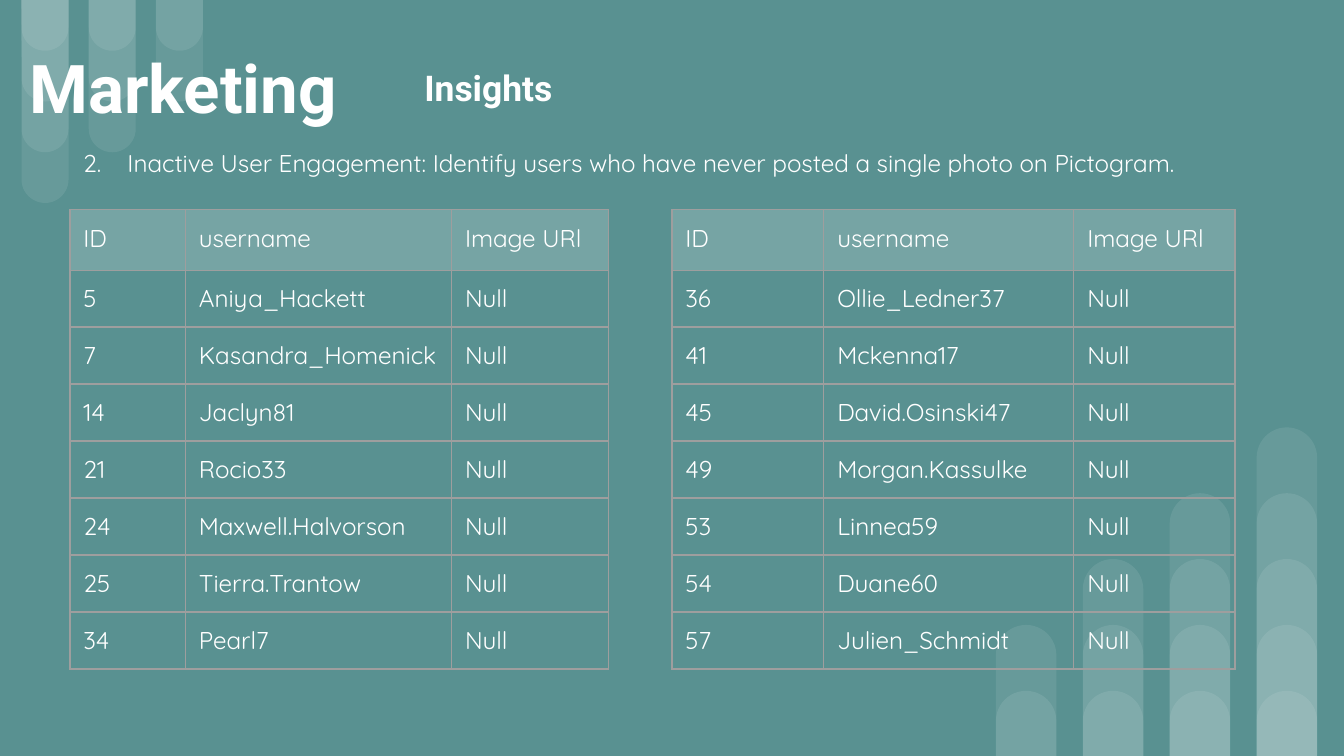
from lxml.etree import SubElement
from pptx import Presentation
from pptx.dml.color import RGBColor
from pptx.enum.shapes import MSO_SHAPE
from pptx.enum.text import MSO_ANCHOR
from pptx.oxml.ns import qn
from pptx.util import Inches, Pt

COLORS = {
    "background": "599191",
    "header": "76A4A4",
    "border": "9E9E9E",
    "white": "FFFFFF",
}
HEADINGS = ("ID", "username", "Image URl")
FIRST_USERS = (
    ("5", "Aniya_Hackett"),
    ("7", "Kasandra_Homenick"),
    ("14", "Jaclyn81"),
    ("21", "Rocio33"),
    ("24", "Maxwell.Halvorson"),
    ("25", "Tierra.Trantow"),
    ("34", "Pearl7"),
)
SECOND_USERS = (
    ("36", "Ollie_Ledner37"),
    ("41", "Mckenna17"),
    ("45", "David.Osinski47"),
    ("49", "Morgan.Kassulke"),
    ("53", "Linnea59"),
    ("54", "Duane60"),
    ("57", "Julien_Schmidt"),
)


def color(name):
    return RGBColor.from_string(COLORS[name])


def write_text(holder, text, size=13, font="Quicksand", bold=False):
    holder.margin_left = holder.margin_right = Inches(0.1)
    holder.margin_top = holder.margin_bottom = Inches(0.1)
    frame = getattr(holder, "text_frame", holder)
    frame.word_wrap = True
    paragraph = frame.paragraphs[0]
    run = paragraph.add_run()
    run.text = text
    run.font.size = Pt(size)
    run.font.name = font
    run.font.bold = bold
    run.font.color.rgb = color("white")
    return paragraph


def add_text_frame(slide, box):
    return slide.shapes.add_textbox(*map(Inches, box)).text_frame


def add_bars(slide, box, counts, bar_width, hanging=False):
    left, top, width, height = box
    pitch = (width - bar_width) / (len(counts) - 1)
    step = height / max(counts)
    for column, count in enumerate(counts):
        for level in range(count, 0, -1):
            length = level * step
            bar_top = top if hanging else top + height - length
            bar = slide.shapes.add_shape(
                MSO_SHAPE.ROUND_2_SAME_RECTANGLE,
                Inches(left + column * pitch), Inches(bar_top),
                Inches(bar_width), Inches(length))
            bar.adjustments[0] = 0.5
            bar.rotation = 180 if hanging else 0
            bar.shadow.inherit = False
            bar.line.fill.background()
            bar.fill.solid()
            bar.fill.fore_color.rgb = color("white")
            fill_color = bar.fill._xPr.find(qn("a:solidFill"))[0]
            SubElement(fill_color, qn("a:alpha"), val="9000")


def add_heading(slide, box, text, size):
    frame = add_text_frame(slide, box)
    frame.vertical_anchor = MSO_ANCHOR.MIDDLE
    write_text(frame, text, size=size, font="Roboto", bold=True)


def add_insight(slide, box, number, text):
    paragraph = write_text(add_text_frame(slide, box), f"{number}\t{text}")
    paragraph.line_spacing = 1.15
    paragraph.space_before = Pt(12)
    properties = paragraph._p.get_or_add_pPr()
    properties.set("marL", str(Inches(0.33)))
    properties.set("indent", str(-Inches(0.33)))


def add_borders(cell):
    properties = cell._tc.get_or_add_tcPr()
    for side in ("lnL", "lnR", "lnT", "lnB"):
        line = SubElement(properties, qn(f"a:{side}"), w=str(Pt(0.75)))
        fill = SubElement(line, qn("a:solidFill"))
        SubElement(fill, qn("a:srgbClr"), val=COLORS["border"])


def add_user_table(slide, box, column_widths, users):
    rows = [HEADINGS] + [(*user, "Null") for user in users]
    header_height = 0.45
    row_height = (box[3] - header_height) / len(users)
    table = slide.shapes.add_table(
        len(rows), len(HEADINGS), *map(Inches, box)).table
    table.horz_banding = False
    for column, width in zip(table.columns, column_widths):
        column.width = Inches(width)
    for row_index, values in enumerate(rows):
        is_header = row_index == 0
        table.rows[row_index].height = Inches(
            header_height if is_header else row_height)
        for column_index, value in enumerate(values):
            cell = table.cell(row_index, column_index)
            write_text(cell, value)
            add_borders(cell)
            if is_header:
                cell.fill.solid()
                cell.fill.fore_color.rgb = color("header")
            else:
                cell.fill.background()


def main():
    presentation = Presentation()
    presentation.slide_width = Inches(10)
    presentation.slide_height = presentation.slide_width * 9 // 16
    slide = presentation.slides.add_slide(presentation.slide_layouts[6])
    slide.background.fill.solid()
    slide.background.fill.fore_color.rgb = color("background")

    add_bars(slide, (0.16, 0, 1.35, 1.51), (4, 3, 2), 0.35, hanging=True)
    add_bars(slide, (7.41, 3.18, 2.39, 2.45), (2, 3, 4, 5), 0.45)
    add_heading(slide, (0.12, -0.11, 5.48, 1.51), "Marketing", 36)
    add_insight(
        slide, (0.52, 0.97, 8.98, 0.59), "2.",
        "Inactive User Engagement: Identify users who have never posted "
        "a single photo on Pictogram.")
    add_heading(slide, (3.06, 0.28, 2.8, 0.74), "Insights", 19)
    add_user_table(
        slide, (0.52, 1.56, 4.01, 3.42), (0.86, 1.98, 1.17), FIRST_USERS)
    add_user_table(
        slide, (5, 1.56, 4.19, 3.42), (1.13, 1.86, 1.2), SECOND_USERS)
    presentation.save("out.pptx")


if __name__ == "__main__":
    main()
